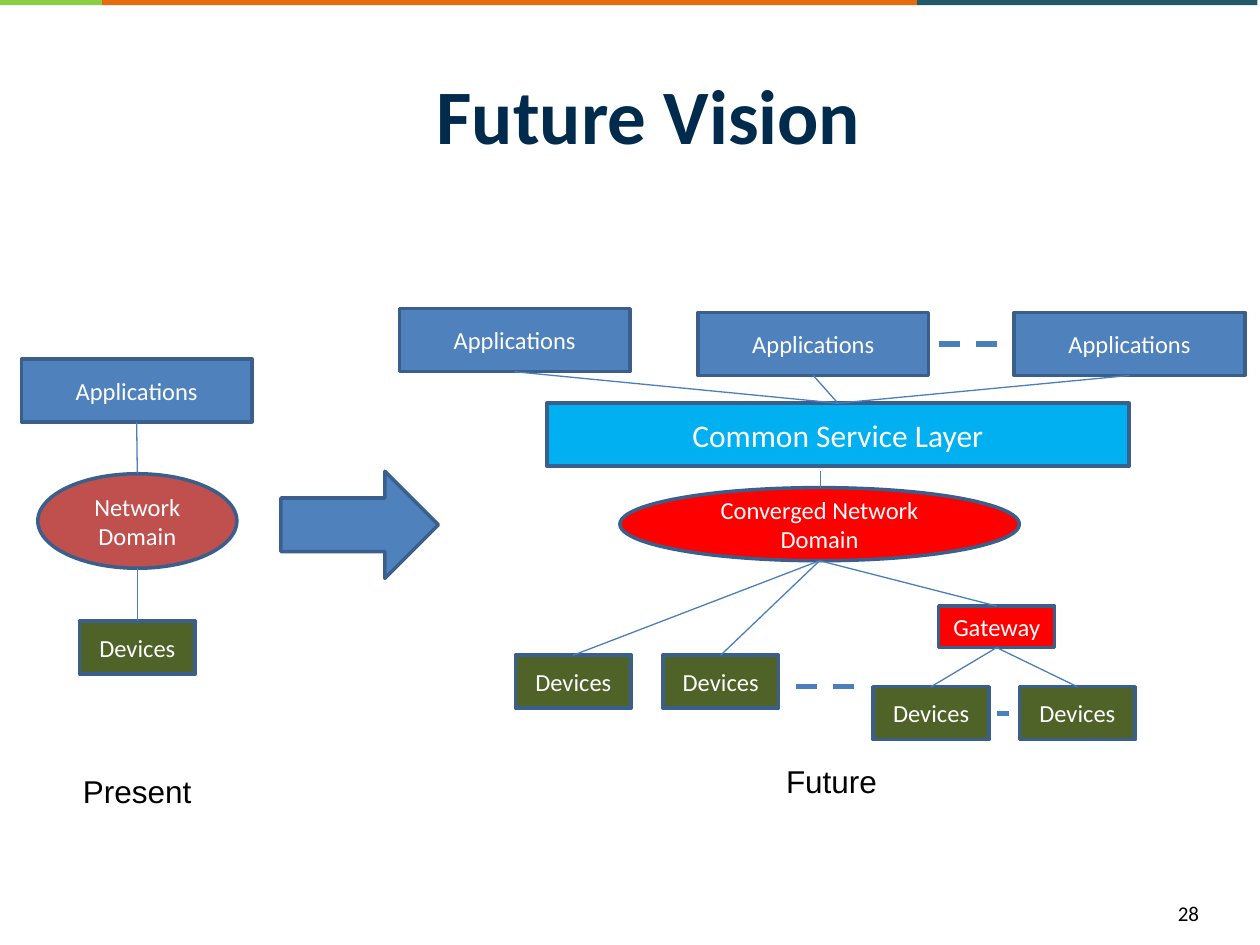
from lxml import etree
from pptx import Presentation
from pptx import util as u
from pptx.dml.color import RGBColor
from pptx.enum import dml, shapes, text
from pptx.oxml.ns import qn

WHITE = RGBColor(0xFF, 0xFF, 0xFF)
BLACK = RGBColor(0, 0, 0)
NAVY = RGBColor(0x00, 0x2B, 0x4C)
ORANGE = RGBColor(0xE4, 0x6C, 0x0A)
TEAL = RGBColor(0x21, 0x59, 0x68)
LIME = RGBColor(0x8B, 0xCD, 0x43)
BLUE = RGBColor(0x4F, 0x81, 0xBD)
OUTLINE = RGBColor(0x3A, 0x5F, 0x8C)
LINK = RGBColor(0x4B, 0x7E, 0xBC)
BRICK = RGBColor(0xC0, 0x50, 0x4D)
RED = RGBColor(0xFF, 0, 0)
GREEN = RGBColor(0x4F, 0x62, 0x28)
SKY = RGBColor(0x00, 0xB0, 0xF0)

RECT = shapes.MSO_SHAPE.RECTANGLE
OVAL = shapes.MSO_SHAPE.OVAL
ARROW = shapes.MSO_SHAPE.RIGHT_ARROW


def add_run(p, words, size, color, font="Calibri", bold=False):
    r = p.add_run()
    r.text = words
    r.font.name = font
    r.font.size = u.Pt(size)
    r.font.bold = bold
    r.font.color.rgb = color


def add_title(s, words):
    sp = s.shapes.title
    sp.left, sp.top = u.Inches(0.65), u.Inches(0.28)
    sp.width, sp.height = u.Inches(9), u.Inches(1.25)
    tf = sp.text_frame
    tf.vertical_anchor = text.MSO_ANCHOR.MIDDLE
    p = tf.paragraphs[0]
    p.alignment = text.PP_ALIGN.CENTER
    add_run(p, words, 44, NAVY, bold=True)


def add_solid(s, kind, x, y, w, h, fill):
    sp = s.shapes.add_shape(kind, u.Inches(x), u.Inches(y), u.Inches(w), u.Inches(h))
    sp.shadow.inherit = False
    sp.fill.solid()
    sp.fill.fore_color.rgb = fill
    sp.line.fill.background()
    return sp


def add_node(s, kind, x, y, w, h, fill, words="", size=14):
    sp = add_solid(s, kind, x, y, w, h, fill)
    sp.line.color.rgb = OUTLINE
    sp.line.width = u.Pt(2)
    if words:
        tf = sp.text_frame
        tf.word_wrap = True
        tf.vertical_anchor = text.MSO_ANCHOR.MIDDLE
        p = tf.paragraphs[0]
        p.alignment = text.PP_ALIGN.CENTER
        add_run(p, words, size, WHITE)
    return sp


def add_application(s, x, y):
    return add_node(s, RECT, x, y, 1.83, 0.5, BLUE, "Applications")


def add_device(s, x, y):
    return add_node(s, RECT, x, y, 0.92, 0.42, GREEN, "Devices")


def add_line(s, x1, y1, x2, y2, width=0.75, dashed=False):
    c = s.shapes.add_connector(shapes.MSO_CONNECTOR.STRAIGHT, x1, y1, x2, y2)
    c.line.color.rgb = LINK
    c.line.width = u.Pt(width)
    if dashed:
        c.line.dash_style = dml.MSO_LINE.DASH
    etree.SubElement(c._element.spPr, qn("a:effectLst"))


def link(s, upper, lower):
    add_line(s, upper.left + upper.width // 2, upper.top + upper.height,
             lower.left + lower.width // 2, lower.top)


def add_ellipsis(s, x1, x2, y, dashed=True):
    add_line(s, u.Inches(x1), u.Inches(y), u.Inches(x2), u.Inches(y), 3, dashed)


def add_label(s, x, y, w, words, size, font, wrap=False):
    sp = s.shapes.add_textbox(u.Inches(x), u.Inches(y), u.Inches(w), u.Inches(0.4))
    tf = sp.text_frame
    tf.word_wrap = wrap
    add_run(tf.paragraphs[0], words, size, BLACK, font)


def draw_present(s):
    application = add_application(s, 0.17, 2.85)
    network = add_node(s, OVAL, 0.3, 3.76, 1.58, 0.75, BRICK, "Network Domain")
    device = add_device(s, 0.63, 4.93)
    link(s, application, network)
    link(s, network, device)
    add_label(s, 0.56, 6.08, 1.07, "Present", 18, "Arial")


def draw_future(s):
    applications = [add_application(s, x, y)
                    for x, y in ((3.17, 2.45), (5.54, 2.48), (8.05, 2.48))]
    service = add_node(s, RECT, 4.34, 3.2, 4.62, 0.5, SKY, "Common Service Layer", 18)
    network = add_node(s, OVAL, 4.92, 3.87, 3.17, 0.58, RED, "Converged Network Domain")
    gateway = add_node(s, RECT, 7.45, 4.81, 0.92, 0.33, RED, "Gateway")
    direct = [add_device(s, x, 5.2) for x in (4.09, 5.26)]
    behind_gateway = [add_device(s, x, 5.45) for x in (6.93, 8.09)]

    for application in applications:
        link(s, application, service)
    add_line(s, u.Inches(6.51), u.Inches(3.74), u.Inches(6.51), u.Inches(3.87))
    for node in direct + [gateway]:
        link(s, network, node)
    for device in behind_gateway:
        link(s, gateway, device)

    add_ellipsis(s, 7.45, 7.91, 2.73)
    add_ellipsis(s, 6.32, 6.84, 5.45)
    add_ellipsis(s, 7.91, 8.01, 5.66, dashed=False)
    add_label(s, 6.14, 6, 0.93, "Future", 18, "Arial")


def main():
    prs = Presentation()
    prs.slide_width, prs.slide_height = u.Inches(10), u.Inches(7.5)
    s = prs.slides.add_slide(prs.slide_layouts[5])
    for x, w, fill in ((0.8, 6.48, ORANGE), (7.28, 2.7, TEAL), (-0.05, 0.86, LIME)):
        add_solid(s, RECT, x, -0.01, w, 0.05, fill)
    add_title(s, "Future Vision")
    draw_present(s)
    add_node(s, ARROW, 2.23, 3.74, 1.25, 0.85, BLUE)
    draw_future(s)
    add_label(s, 9.25, 7.1, 0.64, "28", 12, "Calibri", wrap=True)
    prs.save("out.pptx")


if __name__ == "__main__":
    main()
